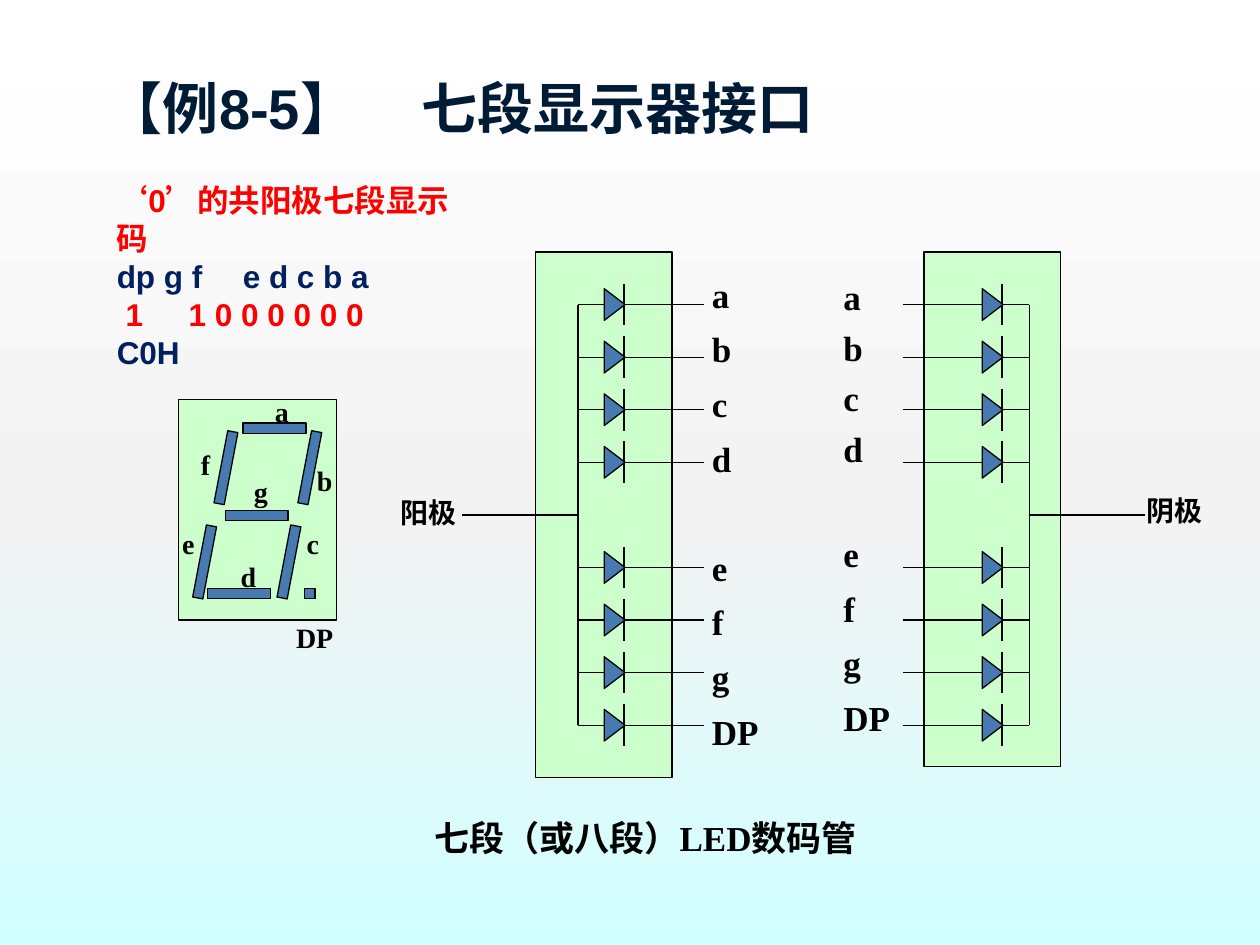
from copy import deepcopy

from pptx import Presentation
from pptx import util as u
from pptx.dml.color import RGBColor
from pptx.enum import lang, shapes, text
from pptx.oxml.ns import qn
from lxml import etree

BLACK = RGBColor(0x00, 0x00, 0x00)
GREEN = RGBColor(0xCC, 0xFF, 0xCC)
BLUE = RGBColor(0x47, 0x7A, 0xB1)
NAVY = RGBColor(0x00, 0x20, 0x60)
DARK = RGBColor(0x00, 0x1B, 0x36)
RED = RGBColor(0xFF, 0x00, 0x00)
BACKDROP = [(0, RGBColor(0xFF, 0xFF, 0xFF)), (0.55, RGBColor(0xF3, 0xF3, 0xF3)),
            (1, RGBColor(0xD2, 0xFF, 0xFF))]

RECT = shapes.MSO_SHAPE.RECTANGLE
TRIANGLE = shapes.MSO_SHAPE.ISOSCELES_TRIANGLE
PITCH = 1.06
PINS = ["a", "b", "c", "d", "e", "f", "g", "DP"]
SLOTS = [1, 2, 3, 4, 6, 7, 8, 9]
LABEL = dict(name="Times New Roman", bold=True)
HEADING = dict(name="Arial", bold=True,
               language_id=lang.MSO_LANGUAGE_ID.SIMPLIFIED_CHINESE)

ANODE = dict(height=10.6, wire=0.85, diode=0.74, bus=0.85, lead=-1.48,
             pole="阳极", pole_at=(-2.97, 4.78), pins_at=(3.3, 0.05), upper=31.2)
CATHODE = dict(height=10.37, wire=-0.42, diode=1.8, bus=2.12, lead=4.45,
               pole="阴极", pole_at=(4.24, 4.75), pins_at=(-1.88, 0.18), upper=28.9)
LOWER = 31.2

ACROSS, UPRIGHT, DOT = (1.27, 0.21, 0), (0.21, 1.48, 10.8), (0.21, 0.21, 0)
SEGMENTS = [
    ("a", 1.3, 0.48, ACROSS, 1.69, -0.22), ("b", 2.54, 0.64, UPRIGHT, 2.54, 1.18),
    ("c", 2.12, 2.54, UPRIGHT, 2.33, 2.44), ("d", 0.58, 3.81, ACROSS, 1, 3.1),
    ("e", 0.42, 2.54, UPRIGHT, -0.18, 2.44), ("f", 0.85, 0.64, UPRIGHT, 0.2, 0.84),
    ("g", 0.94, 2.24, ACROSS, 1.27, 1.4), ("DP", 2.54, 3.81, DOT, 2.12, 4.34),
]


def set_all(obj, **values):
    """Set every named attribute on an object."""
    for key, value in values.items():
        setattr(obj, key, value)


def add_block(s, kind, x, y, w, h, color, rotation=0):
    """Add a filled, thinly outlined shape."""
    sp = s.shapes.add_shape(kind, u.Cm(x), u.Cm(y), u.Cm(w), u.Cm(h))
    sp.fill.solid()
    sp.fill.fore_color.rgb = color
    sp.line.color.rgb = BLACK
    sp.line.width = u.Pt(0.75)
    sp.shadow.inherit = False
    sp.rotation = rotation


def add_wire(s, x1, y1, x2, y2):
    """Add a thin black straight line."""
    cx = s.shapes.add_connector(shapes.MSO_CONNECTOR.STRAIGHT,
                                u.Cm(x1), u.Cm(y1), u.Cm(x2), u.Cm(y2))
    cx.line.color.rgb = BLACK
    cx.line.width = u.Pt(0.75)
    etree.SubElement(cx._element.spPr, qn("a:effectLst"))


def write(p, words, size, color, style):
    """Put one formatted run into a paragraph."""
    r = p.add_run()
    r.text = words
    set_all(r.font, size=u.Pt(size), **style)
    r.font.color.rgb = color


def add_label(s, words, x, y, w, h=0.94, size=16):
    """Add a one-line bold label."""
    tf = s.shapes.add_textbox(u.Cm(x), u.Cm(y), u.Cm(w), u.Cm(h)).text_frame
    write(tf.paragraphs[0], words, size, BLACK, LABEL)


def set_tab(p, position):
    """Give a paragraph a left tab stop."""
    tabs = etree.SubElement(p._p.get_or_add_pPr(), qn("a:tabLst"))
    etree.SubElement(tabs, qn("a:tab"), pos=str(u.Cm(position)), algn="l")


def paint_background(s):
    """Fill the background with a vertical three-stop gradient."""
    fill = s.background.fill
    fill.gradient()
    fill.gradient_angle = 270
    stops = s._element.find(".//" + qn("a:gsLst"))
    stops.append(deepcopy(stops[-1]))
    for stop, (position, color) in zip(fill.gradient_stops, BACKDROP):
        stop.position = position
        stop.color.rgb = color


def add_title(s, x, y, w, h):
    """Fill and place the title placeholder."""
    sp = s.shapes.title
    set_all(sp, left=u.Cm(x), top=u.Cm(y), width=u.Cm(w), height=u.Cm(h))
    set_all(sp.text_frame, vertical_anchor=text.MSO_ANCHOR.MIDDLE,
            auto_size=text.MSO_AUTO_SIZE.NONE)
    p = sp.text_frame.paragraphs[0]
    p.alignment = text.PP_ALIGN.LEFT
    set_tab(p, 6.35)
    write(p, "【例8-5】\t七段显示器接口", 32, DARK, HEADING)


def add_code_list(s, x, y, w, h):
    """Fill the body placeholder with the segment code of zero."""
    sp = s.placeholders[1]
    set_all(sp, left=u.Cm(x), top=u.Cm(y), width=u.Cm(w), height=u.Cm(h))
    tf = sp.text_frame
    set_all(tf, word_wrap=True, auto_size=text.MSO_AUTO_SIZE.NONE)
    rows = [("‘0’的共阳极七段显示码", RED, 0, None),
            ("dp g f\te d c b a", NAVY, 0, 2.08),
            ("1\t1 0 0 0 0 0 0", RED, 0.18, 0.87),
            ("C0H", NAVY, 0, None)]
    for i, (words, color, margin, tab) in enumerate(rows):
        p = tf.add_paragraph() if i else tf.paragraphs[0]
        set_all(p, space_before=u.Pt(0), line_spacing=1.0)
        pPr = p._p.get_or_add_pPr()
        pPr.set("marL", str(u.Cm(margin)))
        pPr.set("indent", "0")
        etree.SubElement(pPr, qn("a:buNone"))
        if tab:
            set_tab(p, tab)
        write(p, words, 18, color, HEADING)


def add_digit(s, x, y, w, h):
    """Draw the seven-segment digit with its letters."""
    add_block(s, RECT, x, y, w, h, GREEN)
    for name, dx, dy, (sw, sh, turn), tx, ty in SEGMENTS:
        add_block(s, RECT, x + dx, y + dy, sw, sh, BLUE, turn)
        add_label(s, name, x + tx, y + ty, 0.84 if len(name) == 1 else 1.55)


def add_pins(s, x, y, w, h, upper):
    """List the pin names with a gap at the common lead."""
    tf = s.shapes.add_textbox(u.Cm(x), u.Cm(y), u.Cm(w), u.Cm(h)).text_frame
    tf.word_wrap = True
    for i, name in enumerate(PINS):
        p = tf.add_paragraph() if i else tf.paragraphs[0]
        p.line_spacing = u.Pt(upper if i < 4 else LOWER)
        if i == 4:
            p.space_before = u.Pt(upper)
        write(p, name, 20, BLACK, LABEL)


def add_diode_array(s, x, y, w, kind):
    """Draw one array of eight diodes sharing a common lead."""
    add_block(s, RECT, x, y, w, kind["height"], GREEN)
    start, bus = x + kind["wire"], x + kind["bus"]
    center = start + kind["diode"]
    for slot in SLOTS:
        row = y + slot * PITCH
        add_wire(s, center + 0.19, row - 0.42, center + 0.19, row + 0.42)
        add_wire(s, start, row, start + 2.54, row)
        add_block(s, TRIANGLE, center - 0.32, row - 0.21, 0.64, 0.42, BLUE, 90)
    add_wire(s, bus, y + PITCH, bus, y + 9 * PITCH)
    add_wire(s, bus, y + 5 * PITCH, x + kind["lead"], y + 5 * PITCH)
    dx, dy = kind["pole_at"]
    add_label(s, kind["pole"], x + dx, y + dy, 1.9)
    dx, dy = kind["pins_at"]
    add_pins(s, x + dx, y + dy, 1.68, 10, kind["upper"])


def main():
    """Build and save the slide."""
    prs = Presentation()
    set_all(prs, slide_width=u.Cm(25.4), slide_height=u.Cm(19.05))
    s = prs.slides.add_slide(prs.slide_layouts[1])
    paint_background(s)
    add_title(s, 1.9, 1.52, 21.6, 1.27)
    add_code_list(s, 2.1, 3.53, 7.65, 4.09)
    add_digit(s, 3.6, 8.05, 3.18, 4.45)
    add_diode_array(s, 10.8, 5.08, 2.75, ANODE)
    add_diode_array(s, 18.63, 5.08, 2.75, CATHODE)
    add_label(s, "七段（或八段）LED数码管", 8.5, 16.33, 13.34, 1.1, 20)
    prs.save("out.pptx")


if __name__ == "__main__":
    main()
